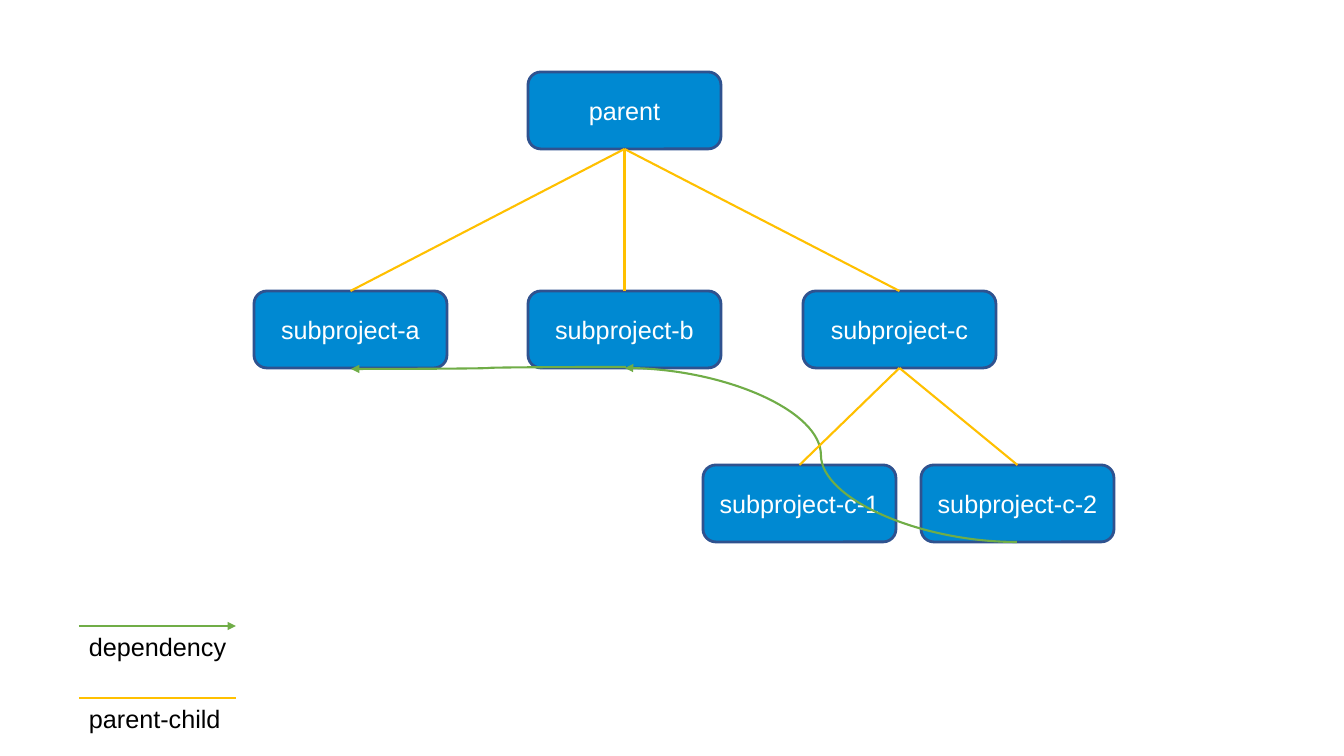
from lxml import etree
from pptx import Presentation
from pptx import util as u
from pptx.dml.color import RGBColor
from pptx.enum import shapes, text
from pptx.oxml.ns import qn

PX_PER_INCH = 100.8
PAGE_SIZE = (1344, 756)
BOX_SIZE = (193, 77)
BLUE, NAVY, GREEN, GOLD = "0089D2", "2F528F", "70AD47", "FFC000"
WHITE, BLACK = "FFFFFF", "000000"
FONT, FONT_SIZE = "Arial", 18

PROJECTS = {
    "parent": (528, 72),
    "subproject-b": (528, 291),
    "subproject-a": (254, 291),
    "subproject-c": (803, 291),
    "subproject-c-1": (703, 465),
    "subproject-c-2": (921, 465),
}
CHILDREN = {
    "parent": ["subproject-a", "subproject-b", "subproject-c"],
    "subproject-c": ["subproject-c-1", "subproject-c-2"],
}
DEPENDENCIES = [
    ((1017, 542), (625, 368)),
    ((626, 367), (351, 369)),
]
LEGEND = [("dependency", 626, GREEN, True), ("parent-child", 698, GOLD, False)]
LEGEND_LEFT, LEGEND_WIDTH, LEGEND_HEIGHT = 79, 157, 40
TOP_SITE, BOTTOM_SITE = 0, 2


def px(length):
    return u.Inches(length / PX_PER_INCH)


def color(value):
    return RGBColor.from_string(value)


def write(box, words, ink, align):
    para = box.text_frame.paragraphs[0]
    para.text = words
    para.alignment = align
    para.font.name = FONT
    para.font.size = u.Pt(FONT_SIZE)
    para.font.color.rgb = color(ink)


def add_project(page, name, left, top):
    box = page.shapes.add_shape(
        shapes.MSO_SHAPE.ROUNDED_RECTANGLE, *map(px, (left, top, *BOX_SIZE)))
    box.shadow.inherit = False
    box.fill.solid()
    box.fill.fore_color.rgb = color(BLUE)
    box.line.color.rgb = color(NAVY)
    box.line.width = u.Pt(2)
    box.text_frame.vertical_anchor = text.MSO_ANCHOR.MIDDLE
    write(box, name, WHITE, text.PP_ALIGN.CENTER)
    return box


def add_link(page, start, end, ink, kind=shapes.MSO_CONNECTOR.STRAIGHT, arrow=False):
    link = page.shapes.add_connector(kind, *map(px, (*start, *end)))
    link.line.color.rgb = color(ink)
    link.line.width = u.Pt(1.5)
    if arrow:
        outline = link.line._get_or_add_ln()
        etree.SubElement(outline, qn("a:tailEnd"), type="triangle")
    etree.SubElement(link._element.spPr, qn("a:effectLst"))
    return link


def add_legend(page, words, top, ink, arrow):
    add_link(page, (LEGEND_LEFT, top), (LEGEND_LEFT + LEGEND_WIDTH, top), ink, arrow=arrow)
    label = page.shapes.add_textbox(
        *map(px, (LEGEND_LEFT, top, LEGEND_WIDTH, LEGEND_HEIGHT)))
    label.text_frame.word_wrap = True
    label.text_frame.margin_right = 0
    write(label, words, BLACK, text.PP_ALIGN.LEFT)


def main():
    deck = Presentation()
    deck.slide_width, deck.slide_height = map(px, PAGE_SIZE)
    page = deck.slides.add_slide(deck.slide_layouts[6])
    boxes = {name: add_project(page, name, *corner) for name, corner in PROJECTS.items()}
    for entry in LEGEND:
        add_legend(page, *entry)
    for start, end in DEPENDENCIES:
        add_link(page, start, end, GREEN, shapes.MSO_CONNECTOR.CURVE, arrow=True)
    for parent, children in CHILDREN.items():
        for child in children:
            link = add_link(page, (0, 0), (0, 0), GOLD)
            link.begin_connect(boxes[child], TOP_SITE)
            link.end_connect(boxes[parent], BOTTOM_SITE)
    deck.save("out.pptx")


if __name__ == "__main__":
    main()
